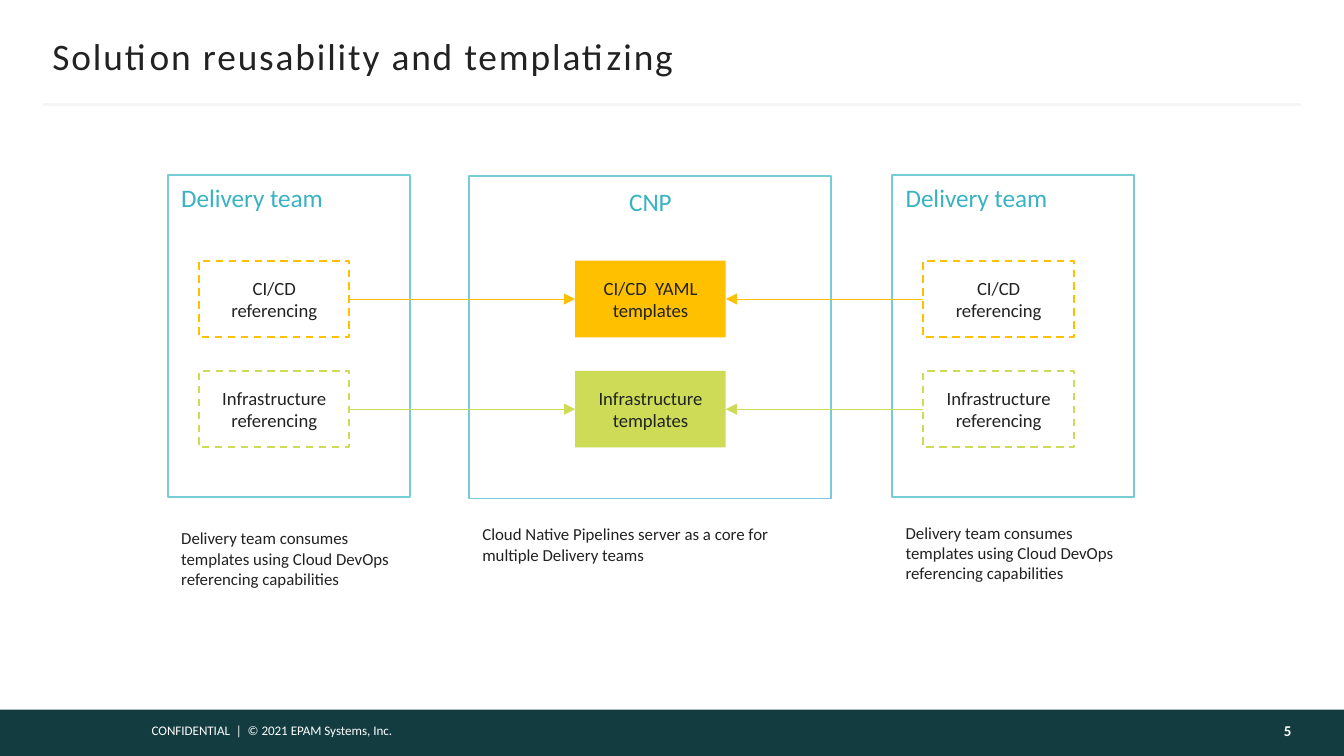
from dataclasses import dataclass

from lxml import etree
from pptx import Presentation
from pptx.dml.color import RGBColor
from pptx.enum import dml, shapes, text
from pptx.oxml.ns import qn
from pptx.util import Inches, Pt

COLORS = {
    "ink": "222222",
    "white": "FFFFFF",
    "page": "FEFEFE",
    "footer": "133C41",
    "rule": "F5F5F5",
    "frame": "76CDD8",
    "heading": "38B3C3",
    "pipeline": "FFC000",
    "infrastructure": "CEDB56",
}
FONT = "Calibri"
BOX_WIDTH, BOX_HEIGHT = 1.12, 0.57
FRAME_HEIGHT = 2.4
CORE_BOX_LEFT = 4.28


@dataclass
class Panel:
    left: float
    top: float
    width: float


@dataclass
class Team:
    panel: Panel
    caption_top: float
    arrow_start: float
    arrow_end: float


@dataclass
class Row:
    top: float
    color: str
    reference: str
    template: str


CORE = Panel(3.49, 1.31, 2.69)
TEAMS = [
    Team(Panel(1.25, 1.3, 1.8), 3.88, 2.6, CORE_BOX_LEFT),
    Team(Panel(6.64, 1.3, 1.8), 3.84, 6.87, CORE_BOX_LEFT + BOX_WIDTH),
]
ROWS = [
    Row(1.94, "pipeline", "CI/CD referencing", "CI/CD  YAML templates"),
    Row(2.76, "infrastructure", "Infrastructure referencing", "Infrastructure templates"),
]


def rgb(name: str) -> RGBColor:
    return RGBColor.from_string(COLORS[name])


def write(frame, words: str, size: float, color: str = "ink", align=text.PP_ALIGN.LEFT,
          anchor=text.MSO_ANCHOR.TOP, bold: bool = False):
    """Put one formatted run into a text frame and return the run."""
    frame.word_wrap = True
    frame.auto_size = text.MSO_AUTO_SIZE.NONE
    frame.vertical_anchor = anchor
    paragraph = frame.paragraphs[0]
    paragraph.alignment = align
    run = paragraph.add_run()
    run.text = words
    run.font.name = FONT
    run.font.size = Pt(size)
    run.font.bold = bold
    run.font.color.rgb = rgb(color)
    return run


def add_label(slide, left: float, top: float, width: float, height: float,
              words: str, size: float, **style):
    box = slide.shapes.add_textbox(Inches(left), Inches(top), Inches(width), Inches(height))
    write(box.text_frame, words, size, **style)
    return box


def add_box(slide, left: float, top: float, width: float, height: float, fill: str,
            outline: str | None = None, dashed: bool = False, words: str = ""):
    shape = slide.shapes.add_shape(shapes.MSO_SHAPE.RECTANGLE, Inches(left), Inches(top),
                                   Inches(width), Inches(height))
    shape.shadow.inherit = False
    shape.fill.solid()
    shape.fill.fore_color.rgb = rgb(fill)
    if outline:
        shape.line.color.rgb = rgb(outline)
        shape.line.width = Pt(1)
    else:
        shape.line.fill.background()
    if dashed:
        shape.line.dash_style = dml.MSO_LINE.DASH
    if words:
        write(shape.text_frame, words, 10, align=text.PP_ALIGN.CENTER,
              anchor=text.MSO_ANCHOR.MIDDLE)
    return shape


def add_line(slide, start: float, end: float, y: float, color: str, width: float,
             arrow: bool = False) -> None:
    line = slide.shapes.add_connector(shapes.MSO_CONNECTOR.STRAIGHT, Inches(start), Inches(y),
                                      Inches(end), Inches(y))
    line.line.color.rgb = rgb(color)
    line.line.width = Pt(width)
    if arrow:
        etree.SubElement(line.line._get_or_add_ln(), qn("a:tailEnd"), type="triangle")
    etree.SubElement(line._element.spPr, qn("a:effectLst"))


def add_title(slide, words: str) -> None:
    title = slide.shapes.title
    title.left, title.top = Inches(0.39), Inches(0.25)
    title.width, title.height = Inches(9.22), Inches(0.33)
    title.text_frame.margin_left = title.text_frame.margin_right = 0
    run = write(title.text_frame, words, 20, anchor=text.MSO_ANCHOR.MIDDLE)
    run.font._element.set("spc", "100")


def add_team(slide, team: Team) -> None:
    panel = team.panel
    add_box(slide, panel.left, panel.top, panel.width, FRAME_HEIGHT, "white", "frame")
    add_label(slide, panel.left, 1.31, panel.width, 0.33, "Delivery team", 13.5, color="heading")
    for row in ROWS:
        add_box(slide, panel.left + 0.23, row.top, BOX_WIDTH, BOX_HEIGHT, "white", row.color,
                dashed=True, words=row.reference)
        add_line(slide, team.arrow_start, team.arrow_end, row.top + BOX_HEIGHT / 2,
                 row.color, 0.5, arrow=True)
    add_label(slide, panel.left, team.caption_top, panel.width, 0.56,
              "Delivery team consumes templates using Cloud DevOps referencing capabilities", 9)


def add_core(slide) -> None:
    add_box(slide, CORE.left, CORE.top, CORE.width, FRAME_HEIGHT, "white", "frame")
    add_label(slide, 3.94, 1.34, 1.8, 0.33, "CNP", 13.5, color="heading",
              align=text.PP_ALIGN.CENTER)
    for row in ROWS:
        add_box(slide, CORE_BOX_LEFT, row.top, BOX_WIDTH, BOX_HEIGHT, row.color,
                words=row.template)
    add_label(slide, CORE.left, 3.85, CORE.width, 0.4,
              "Cloud Native Pipelines server as a core for multiple Delivery teams", 9)


def add_footer(slide) -> None:
    add_box(slide, 0, 5.28, 10, 0.35, "footer")
    add_label(slide, 1.03, 5.33, 2.65, 0.22, "CONFIDENTIAL  |  © 2021 EPAM Systems, Inc.", 7,
              color="white")
    number = add_label(slide, 8.11, 5.28, 1.5, 0.35, "5", 8, color="page", bold=True,
                       align=text.PP_ALIGN.RIGHT, anchor=text.MSO_ANCHOR.MIDDLE)
    number.text_frame.margin_right = 0
    number.text_frame.margin_bottom = Inches(0.09)


def main() -> None:
    presentation = Presentation()
    # Widescreen, 16:9
    presentation.slide_width = Inches(10)
    presentation.slide_height = Inches(10 * 9 / 16)
    slide = presentation.slides.add_slide(presentation.slide_layouts[5])

    # Title, rule and footer
    add_title(slide, "Solution reusability and templatizing")
    add_line(slide, 0.32, 9.68, 0.78, "rule", 1.5)
    add_footer(slide)

    # Shared core, with a delivery team on each side
    add_core(slide)
    for team in TEAMS:
        add_team(slide, team)

    presentation.save("out.pptx")


if __name__ == "__main__":
    main()
